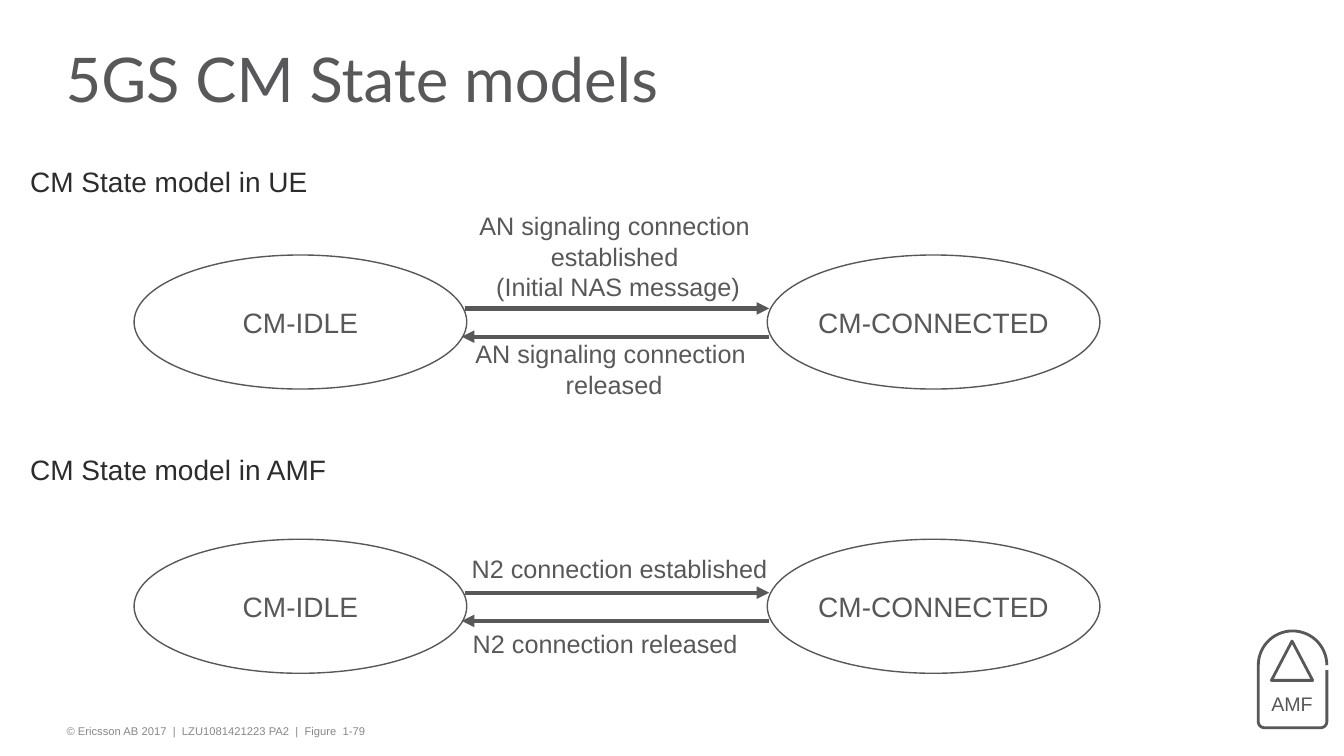
from math import cos, sin, radians
from pptx import Presentation
from pptx.dml.color import RGBColor
from pptx.enum.shapes import MSO_CONNECTOR, MSO_SHAPE
from pptx.enum.text import MSO_ANCHOR, MSO_AUTO_SIZE, PP_ALIGN
from pptx.oxml.ns import qn
from pptx.util import Inches, Pt
from lxml.etree import SubElement

GREY = "58585A"
DARK = "2C2C2D"
PALE = "87888A"


def paint(color, value):
    """Set a colour from a hex string."""
    color.rgb = RGBColor.from_string(value)


def write(shape, text, size=18, font="Arial", color=GREY, align=PP_ALIGN.LEFT,
          anchor=MSO_ANCHOR.TOP, wrap=False, fit=MSO_AUTO_SIZE.NONE,
          inset=(0.08, 0.05), spacing=None):
    """Fill a shape with one formatted paragraph."""
    frame = shape.text_frame
    frame.text = text
    frame.word_wrap = wrap
    frame.auto_size = fit
    frame.vertical_anchor = anchor
    frame.margin_left = frame.margin_right = Inches(inset[0])
    frame.margin_top = frame.margin_bottom = Inches(inset[1])
    para = frame.paragraphs[0]
    para.alignment = align
    para.space_before = Pt(0)
    if spacing:
        para.line_spacing = spacing
    for run in para.runs:
        run.font.name = font
        run.font.size = Pt(size)
        paint(run.font.color, color)


def place(shape, left, top, width, height):
    """Move and size a shape, in inches."""
    shape.left, shape.top = Inches(left), Inches(top)
    shape.width, shape.height = Inches(width), Inches(height)


def label(slide, text, left, top, width, height, **style):
    """Add a text box."""
    box = slide.shapes.add_textbox(0, 0, 0, 0)
    write(box, text, **style)
    place(box, left, top, width, height)


def note(slide, text, left, top, width, height, **style):
    """Add an unwrapped text box that grows with its text."""
    label(slide, text, left, top, width, height, inset=(0.1, 0.05),
          fit=MSO_AUTO_SIZE.SHAPE_TO_FIT_TEXT, **style)


def outline(shape, weight):
    """Give a shape a grey line and no fill or shadow."""
    shape.shadow.inherit = False
    shape.fill.background()
    shape.line.width = Pt(weight)
    paint(shape.line.color, GREY)


def state(slide, name, left, top):
    """Add a state ellipse."""
    oval = slide.shapes.add_shape(MSO_SHAPE.OVAL, Inches(left), Inches(top),
                                  Inches(3.3), Inches(1.33))
    outline(oval, 1)
    write(oval, name, size=20, align=PP_ALIGN.CENTER, anchor=MSO_ANCHOR.MIDDLE)


def arrow(slide, start, end, y):
    """Add a level arrow."""
    line = slide.shapes.add_connector(MSO_CONNECTOR.STRAIGHT, Inches(start),
                                      Inches(y), Inches(end), Inches(y))
    line.line.width = Pt(3)
    paint(line.line.color, GREY)
    SubElement(line.line._get_or_add_ln(), qn("a:tailEnd"), type="triangle")
    SubElement(line._element.spPr, qn("a:effectLst"))


def model(slide, top):
    """Add the two states and the arrows between them."""
    state(slide, "CM-IDLE", 1.33, top)
    state(slide, "CM-CONNECTED", 7.61, top)
    arrow(slide, 4.61, 7.63, top + 0.53)
    arrow(slide, 7.63, 4.58, top + 0.81)


def arc(x, y, radius, first, last):
    """List the points of an arc between two angles."""
    step = 6 if last > first else -6
    return [(Inches(x + radius * cos(radians(a))),
             Inches(y - radius * sin(radians(a))))
            for a in range(first, last + step, step)]


def icon(slide):
    """Add the domed node icon."""
    points = [(Inches(13.16), Inches(6.65))]
    points += arc(13.1, 7.16, 0.06, 0, -90)
    points += arc(12.54, 7.16, 0.06, 270, 180)
    points += arc(12.82, 6.6, 0.34, 180, 0)
    path = slide.shapes.build_freeform(*points[0])
    path.add_line_segments(points[1:], close=False)
    outline(path.convert_to_shape(), 2)
    peak = slide.shapes.add_shape(MSO_SHAPE.ISOSCELES_TRIANGLE, Inches(12.61),
                                  Inches(6.36), Inches(0.41), Inches(0.39))
    outline(peak, 2)
    label(slide, "AMF", 12.5, 6.79, 0.63, 0.43, size=14, wrap=True,
          align=PP_ALIGN.CENTER, anchor=MSO_ANCHOR.MIDDLE, inset=(0, 0),
          spacing=0.8)


def main():
    """Build the slide and save it."""
    deck = Presentation()
    deck.slide_width, deck.slide_height = Inches(13.33), Inches(7.5)
    slide = deck.slides.add_slide(deck.slide_layouts[5])
    title = slide.shapes.title
    place(title, 0.57, 0.26, 10.93, 1.19)
    write(title, "5GS CM State models", size=44, font="Lato", wrap=True,
          anchor=MSO_ANCHOR.MIDDLE, inset=(0.08, 0), spacing=0.75)
    label(slide, "© Ericsson AB 2017  |  LZU1081421223 PA2  |  Figure  1-79",
          0.58, 7.14, 10.79, 0.24, size=8, color=PALE, wrap=True)
    model(slide, 2.53)
    model(slide, 5.35)
    note(slide, "CM State model in UE", 0.2, 1.58, 2.98, 0.44,
         size=20, color=DARK)
    note(slide, "CM State model in AMF", 0.2, 4.44, 3.16, 0.44,
         size=20, color=DARK)
    note(slide, "AN signaling connection \vestablished \v(Initial NAS message)",
         4.64, 2.04, 2.98, 1.01, align=PP_ALIGN.CENTER)
    note(slide, "AN signaling connection \vreleased",
         4.6, 3.31, 2.98, 0.71, align=PP_ALIGN.CENTER)
    note(slide, "N2 connection established", 4.58, 5.44, 3.16, 0.4)
    note(slide, "N2 connection released", 4.59, 6.18, 2.85, 0.4)
    icon(slide)
    deck.save("out.pptx")


if __name__ == "__main__":
    main()
